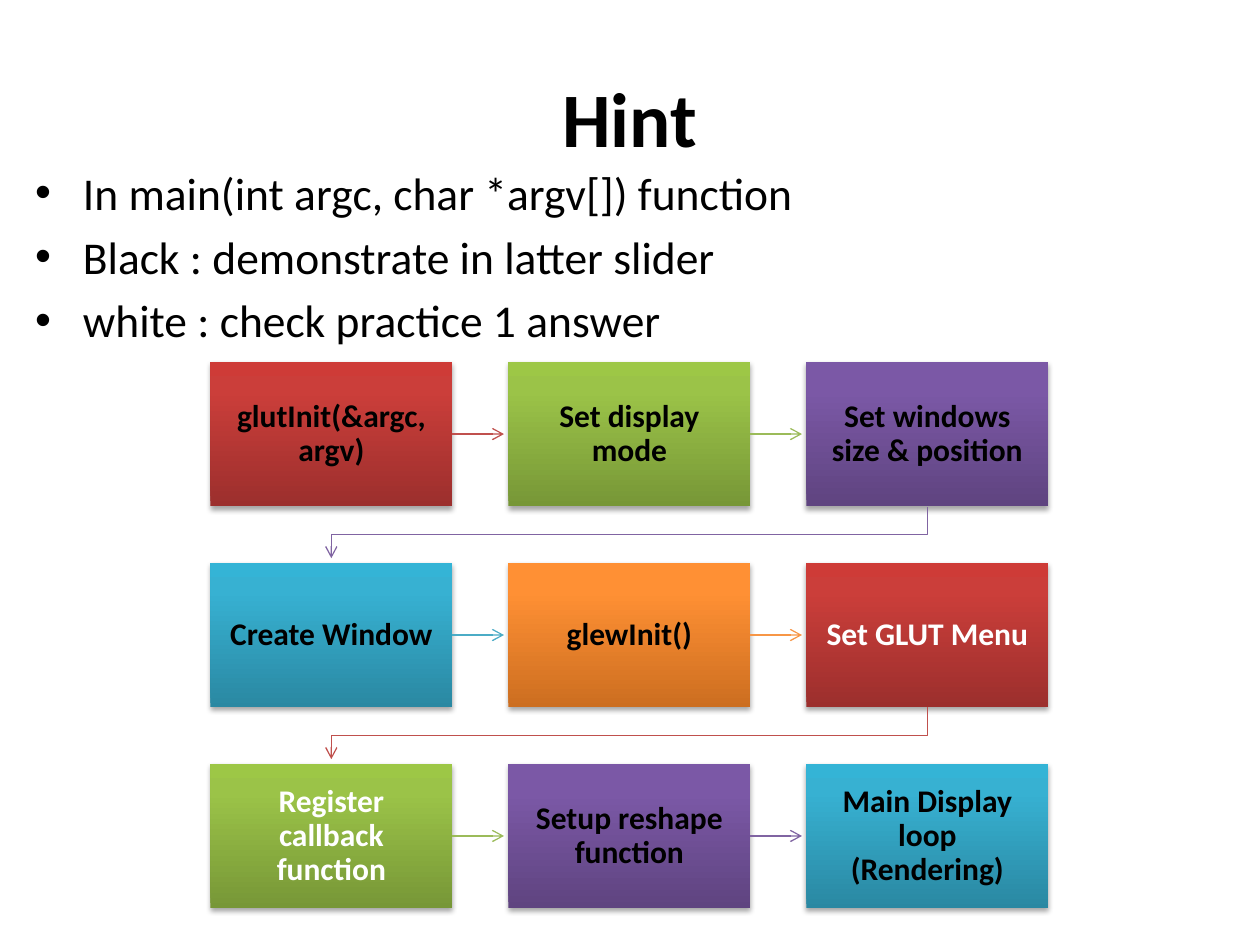
import pptx
import pptx.util
import pptx.oxml
import pptx.oxml.ns
import pptx.dml.color
import pptx.enum.shapes
import pptx.enum.text
import lxml.etree

Inches = pptx.util.Inches
Pt = pptx.util.Pt
qn = pptx.oxml.ns.qn
ALIGN = pptx.enum.text.PP_ALIGN
ANCHOR = pptx.enum.text.MSO_ANCHOR

COLORS = {"black": "000000", "white": "FFFFFF", "red": "C0504D", "green": "9BBB59",
          "purple": "8064A2", "blue": "4BACC6", "orange": "F79646"}
# Gradient stops at 0, 80 and 100 percent, running from bottom to top
GRADIENTS = {
    "red": ("9C2F2D", "CB3E3A", "CE3B37"),
    "green": ("779737", "9BC348", "9DC746"),
    "purple": ("5F4480", "7B58A6", "7C57A8"),
    "blue": ("2A88A2", "37B1D2", "34B4D6"),
    "orange": ("CC6E20", "FF9034", "FF9136"),
}
STEPS = [
    ("glutInit(&argc, argv)", "red", "black"),
    ("Set display mode", "green", "black"),
    ("Set windows size & position", "purple", "black"),
    ("Create Window", "blue", "black"),
    ("glewInit()", "orange", "black"),
    ("Set GLUT Menu", "red", "white"),
    ("Register callback function", "green", "white"),
    ("Setup reshape function", "purple", "black"),
    ("Main Display loop (Rendering)", "blue", "black"),
]
HINTS = ["In main(int argc, char *argv[]) function",
         "Black : demonstrate in latter slider",
         "white : check practice 1 answer"]


def style_text(paragraph, size, color, bold=False):
    for span in paragraph.runs:
        span.font.name = "Calibri"
        span.font.size = Pt(size)
        span.font.bold = bold
        span.font.color.rgb = pptx.dml.color.RGBColor.from_string(COLORS[color])


def style_arrow(shape, color):
    """Thin coloured line with an open arrowhead at its end and no shadow."""
    shape.line.color.rgb = pptx.dml.color.RGBColor.from_string(COLORS[color])
    shape.line.width = Pt(0.75)
    properties = shape._element.spPr
    lxml.etree.SubElement(properties.find(qn("a:ln")), qn("a:tailEnd"), type="arrow")
    if properties.find(qn("a:effectLst")) is None:
        lxml.etree.SubElement(properties, qn("a:effectLst"))


deck = pptx.Presentation()
deck.slide_width, deck.slide_height = Inches(10), Inches(7.5)
page = deck.slides.add_slide(deck.slide_layouts[6])

title = page.shapes.add_textbox(Inches(0.5), Inches(0.3), Inches(9), Inches(1.25))
title.text_frame.word_wrap = True
title.text_frame.vertical_anchor = ANCHOR.MIDDLE
title.text_frame.text = "Hint"
title.text_frame.paragraphs[0].alignment = ALIGN.CENTER
style_text(title.text_frame.paragraphs[0], 44, "black", bold=True)

body = page.shapes.add_textbox(Inches(0.18), Inches(1.26), Inches(9.63), Inches(5.31))
body.text_frame.word_wrap = True
body.text_frame.text = "\n".join(HINTS)
for index, paragraph in enumerate(body.text_frame.paragraphs):
    settings = paragraph._p.get_or_add_pPr()
    settings.set("marL", str(Inches(0.38)))
    settings.set("indent", str(-Inches(0.38)))
    lxml.etree.SubElement(settings, qn("a:buFont"), typeface="Arial")
    lxml.etree.SubElement(settings, qn("a:buChar"), char="•")
    if index:
        paragraph.space_before = Pt(5.2)
    style_text(paragraph, 26, "black")

# Flow chart: three columns, read row by row
left, top = Inches(1.67), Inches(2.87)
width, height = Inches(1.92), Inches(1.15)
column_step, row_step = Inches(2.365), Inches(1.595)
boxes = []
for index, (label, color, text_color) in enumerate(STEPS):
    row, column = divmod(index, 3)
    box = page.shapes.add_shape(pptx.enum.shapes.MSO_SHAPE.RECTANGLE,
                                left + column * column_step, top + row * row_step,
                                width, height)
    boxes.append(box)
    gradient = lxml.etree.SubElement(box._element.spPr, qn("a:gradFill"), rotWithShape="1")
    stops = lxml.etree.SubElement(gradient, qn("a:gsLst"))
    for position, shade in zip((0, 80000, 100000), GRADIENTS[color]):
        stop = lxml.etree.SubElement(stops, qn("a:gs"), pos=str(position))
        lxml.etree.SubElement(stop, qn("a:srgbClr"), val=shade)
    lxml.etree.SubElement(gradient, qn("a:lin"), ang="16200000", scaled="0")
    box.line.fill.background()
    box.shadow.inherit = False
    shadow = lxml.etree.SubElement(box._element.spPr.find(qn("a:effectLst")),
                                   qn("a:outerShdw"), blurRad=str(Pt(3.1)),
                                   dist=str(Pt(1.8)), dir="5400000", rotWithShape="0")
    shade = lxml.etree.SubElement(shadow, qn("a:srgbClr"), val=COLORS["black"])
    lxml.etree.SubElement(shade, qn("a:alpha"), val="35000")

    frame = box.text_frame
    frame.word_wrap = True
    frame.vertical_anchor = ANCHOR.MIDDLE
    frame.margin_left = frame.margin_right = Inches(0.14)
    frame.margin_top = frame.margin_bottom = Inches(0.14)
    frame.text = label
    frame.paragraphs[0].alignment = ALIGN.CENTER
    frame.paragraphs[0].line_spacing = 0.9
    style_text(frame.paragraphs[0], 18, text_color, bold=True)

# Arrows stop just short of the next box
for index, box in enumerate(boxes[:-1]):
    color = STEPS[index][1]
    if index % 3 < 2:
        start, middle = box.left + width, box.top + height // 2
        arrow = page.shapes.add_connector(pptx.enum.shapes.MSO_CONNECTOR.STRAIGHT,
                                          start, middle, start + Inches(0.41), middle)
        arrow.begin_connect(box, 3)
    else:
        start, end = box.left + width // 2, left + width // 2
        bottom = box.top + height
        bend = bottom + Inches(0.22)
        builder = page.shapes.build_freeform(start, bottom)
        builder.add_line_segments([(start, bend), (end, bend),
                                   (end, bottom + Inches(0.41))], close=False)
        arrow = builder.convert_to_shape()
        arrow.fill.background()
        arrow.shadow.inherit = False
    style_arrow(arrow, color)

deck.save("out.pptx")
